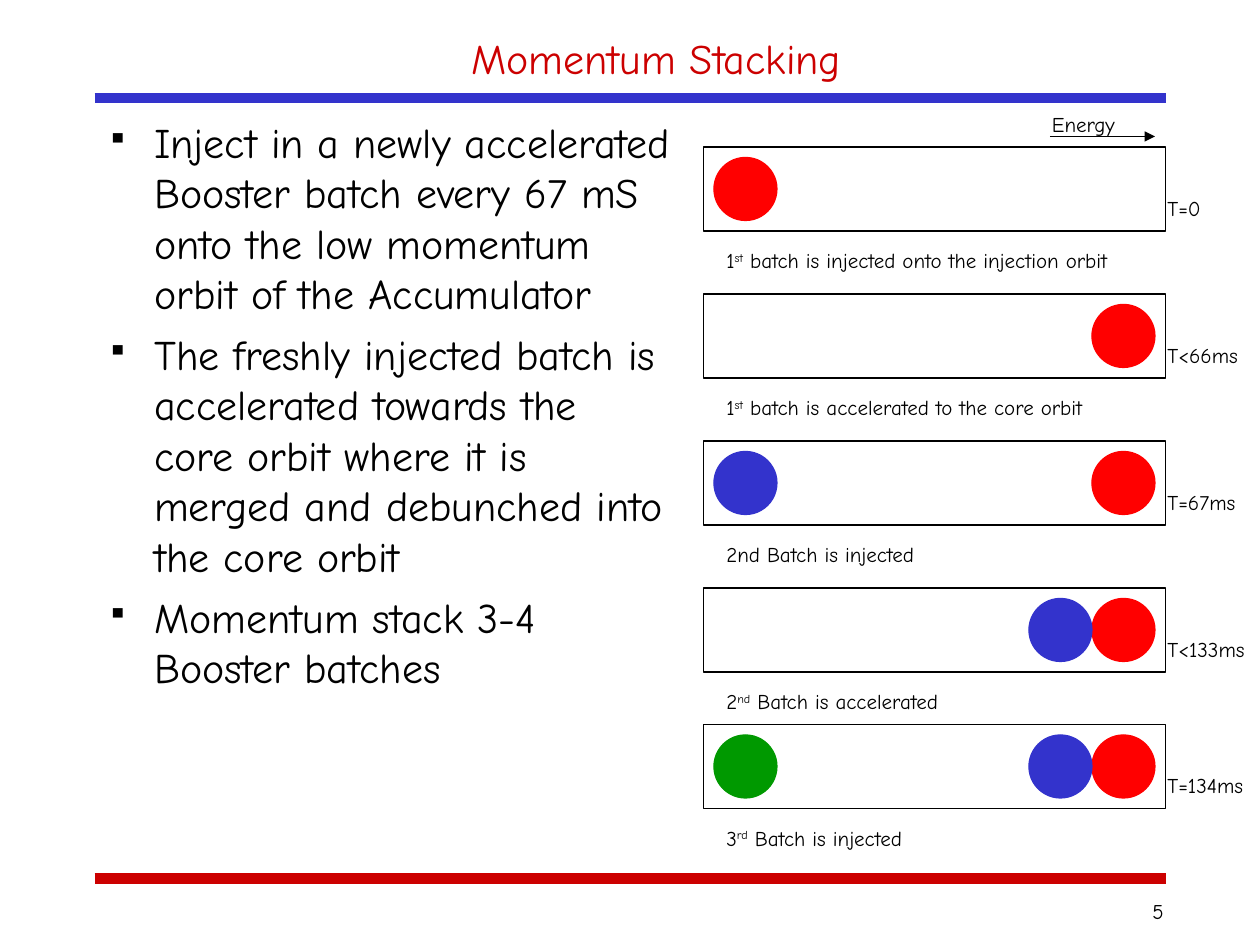
from lxml.etree import SubElement
from pptx import Presentation
from pptx.dml.color import RGBColor
from pptx.enum.shapes import MSO_CONNECTOR, MSO_SHAPE
from pptx.enum.text import MSO_ANCHOR, MSO_AUTO_SIZE, PP_ALIGN
from pptx.oxml.ns import qn
from pptx.util import Pt

FONT = "Comic Neue"
BLACK, RED, BLUE, GREEN = "000000", "FF0000", "3333CC", "009900"
DARK_RED = "CC0000"
LEFT_ORBIT, MIDDLE_ORBIT, RIGHT_ORBIT = 6, 186, 222

BULLETS = [
    "Inject in a newly accelerated Booster batch every 67 mS onto the low momentum orbit of the Accumulator",
    "The freshly injected batch is accelerated towards the core orbit where it is merged and debunched into the core orbit",
    "Momentum stack 3-4 Booster batches",
]
FIRST_STORED = (RIGHT_ORBIT, RED)
SECOND_STORED = (MIDDLE_ORBIT, BLUE)
STAGES = [
    (84, "T=0", ("1", "st", " batch is injected onto the injection orbit"), [(LEFT_ORBIT, RED)]),
    (168, "T<66ms", ("1", "st", " batch is accelerated to the core orbit"), [FIRST_STORED]),
    (252, "T=67ms", ("2nd Batch is injected",), [FIRST_STORED, (LEFT_ORBIT, BLUE)]),
    (336, "T<133ms", ("2", "nd", " Batch is accelerated"), [FIRST_STORED, SECOND_STORED]),
    (414, "T=134ms", ("3", "rd", " Batch is injected"),
     [FIRST_STORED, SECOND_STORED, (LEFT_ORBIT, GREEN)]),
]


def color(value):
    """Turn a hex string into a colour."""
    return RGBColor.from_string(value)


def style_font(paragraph, size, value=BLACK):
    """Set the font of a whole paragraph."""
    paragraph.font.name = FONT
    paragraph.font.size = Pt(size)
    paragraph.font.color.rgb = color(value)


def add_frame(slide, left, top, width, height):
    """Add a wrapping text box and return its text frame."""
    frame = slide.shapes.add_textbox(Pt(left), Pt(top), Pt(width), Pt(height)).text_frame
    frame.word_wrap = True
    return frame


def add_label(slide, left, top, width, height, parts):
    """Add a small label whose second part, if any, is superscript."""
    frame = add_frame(slide, left, top, width, height)
    frame.margin_right = 0
    paragraph = frame.paragraphs[0]
    for index, part in enumerate(parts):
        run = paragraph.add_run()
        run.text = part
        if index == 1:
            run._r.get_or_add_rPr().set("baseline", "30000")
    style_font(paragraph, 12)
    return paragraph


def add_line(slide, left, right, y, value, weight, arrow=False):
    """Draw a horizontal line, with an arrowhead if asked."""
    line = slide.shapes.add_connector(MSO_CONNECTOR.STRAIGHT, Pt(left), Pt(y), Pt(right), Pt(y))
    line.line.color.rgb = color(value)
    line.line.width = Pt(weight)
    if arrow:
        SubElement(line.line._get_or_add_ln(), qn("a:tailEnd"), type="triangle")
    SubElement(line._element.spPr, qn("a:effectLst"))


def add_outline(slide, kind, left, top, width, height, line, fill=None):
    """Add a thin-lined preset shape, filled if a fill is given."""
    shape = slide.shapes.add_shape(kind, Pt(left), Pt(top), Pt(width), Pt(height))
    shape.shadow.inherit = False
    shape.line.color.rgb = color(line)
    shape.line.width = Pt(0.75)
    if fill:
        shape.fill.solid()
        shape.fill.fore_color.rgb = color(fill)
    else:
        shape.fill.background()


def add_title(slide, left, top, width, height):
    """Place and format the title."""
    title = slide.shapes.title
    title.left, title.top, title.width, title.height = Pt(left), Pt(top), Pt(width), Pt(height)
    frame = title.text_frame
    frame.text = "Momentum Stacking"
    frame.auto_size = MSO_AUTO_SIZE.NONE
    frame.vertical_anchor = MSO_ANCHOR.MIDDLE
    paragraph = frame.paragraphs[0]
    paragraph.alignment = PP_ALIGN.CENTER
    style_font(paragraph, 24, DARK_RED)


def add_page_frame(slide, left, top, width, height):
    """Add the two rules and the page number."""
    right, bottom = left + width, top + height
    add_line(slide, left, right, bottom, DARK_RED, 6)
    add_line(slide, left, right, top, BLUE, 6)
    number = add_label(slide, right - 60, bottom + 8, 59, 30, ["5"])
    number.alignment = PP_ALIGN.RIGHT


def add_bullets(slide, left, top, width, height):
    """Add the bulleted explanation."""
    frame = add_frame(slide, left, top, width, height)
    for index, text in enumerate(BULLETS):
        paragraph = frame.add_paragraph() if index else frame.paragraphs[0]
        paragraph.text = text
        properties = paragraph._p.get_or_add_pPr()
        properties.set("marL", str(Pt(27)))
        properties.set("indent", str(-Pt(27)))
        bullet_color = SubElement(properties, qn("a:buClr"))
        SubElement(bullet_color, qn("a:srgbClr"), val=BLACK)
        SubElement(properties, qn("a:buSzPct"), val="70000")
        SubElement(properties, qn("a:buChar"), char="▪")
        if index:
            paragraph.space_before = Pt(6)
        style_font(paragraph, 24)


def add_stage(slide, left, top, width, height, time, caption, batches):
    """Add one stage: its orbit box, batches, time and caption."""
    add_outline(slide, MSO_SHAPE.RECTANGLE, left, top, width, height, BLACK)
    for offset, value in batches:
        add_outline(slide, MSO_SHAPE.OVAL, left + offset, top + 6, 36, 36, value, value)
    add_label(slide, left + width - 6, top + height / 2, 60, 21.6, [time])
    add_label(slide, left + 6, top + height + 6, width - 6, 21.6, caption)


def add_energy_axis(slide, left, top, width, height):
    """Add the energy label above its arrow."""
    add_label(slide, left, top, width - 6, 21.6, ["Energy"])
    add_line(slide, left + 6, left + width, top + height, BLACK, 0.75, arrow=True)


def main():
    """Build and save the slide."""
    presentation = Presentation()
    presentation.slide_width, presentation.slide_height = Pt(720), Pt(540)
    slide = presentation.slides.add_slide(presentation.slide_layouts[5])
    add_page_frame(slide, 54, 56, 612, 446)
    add_title(slide, 120, 12, 510, 42)
    add_bullets(slide, 54, 63, 336, 429)
    add_energy_axis(slide, 594, 60, 66, 18)
    for top, time, caption, batches in STAGES:
        add_stage(slide, 402, top, 264, 48, time, caption, batches)
    presentation.save("out.pptx")


if __name__ == "__main__":
    main()
